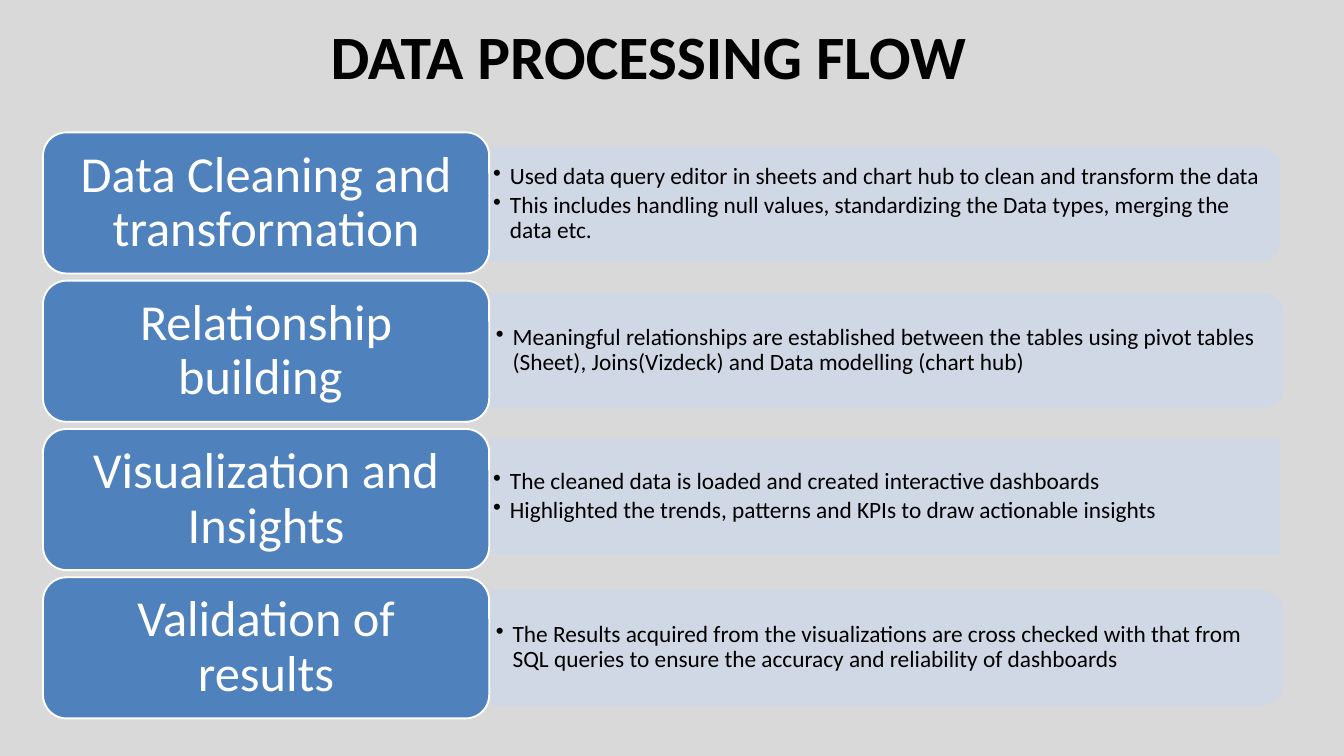
from pptx import Presentation
from pptx.dml.color import RGBColor
from pptx.enum.shapes import MSO_SHAPE
from pptx.enum.text import MSO_ANCHOR, MSO_AUTO_SIZE, PP_ALIGN
from pptx.oxml.ns import qn
from pptx.util import Inches, Pt
from lxml.etree import SubElement

TITLE = "DATA PROCESSING FLOW"
ROUND, SQUARE = MSO_SHAPE.ROUND_2_SAME_RECTANGLE, MSO_SHAPE.RECTANGLE
STEPS = [
    ("Data Cleaning and transformation", ROUND, 7.24, 3.04, [
        "Used data query editor in sheets and chart hub to clean and transform the data",
        "This includes handling null values, standardizing the Data types, merging the data etc.",
    ]),
    ("Relationship building ", ROUND, 7.28, 5.22, [
        "Meaningful relationships are established between the tables using pivot tables "
        "(Sheet), Joins(Vizdeck) and Data modelling (chart hub)",
    ]),
    ("Visualization and Insights", SQUARE, 7.24, 7.39, [
        "The cleaned data is loaded and created interactive dashboards",
        "Highlighted the trends, patterns and KPIs to draw actionable insights",
    ]),
    ("Validation of results", ROUND, 7.28, 9.64, [
        "The Results acquired from the visualizations are cross checked with that from "
        "SQL queries to ensure the accuracy and reliability of dashboards",
    ]),
]
GREY, BLUE, PALE, WHITE, BLACK = "D9D9D9", "4F81BD", "D0D8E8", "FFFFFF", "000000"
LABEL_LEFT, LABEL_TOP, LABEL_WIDTH, LABEL_HEIGHT, LABEL_PITCH = 0.64, 1.97, 6.64, 2.1, 2.207
PANEL_WIDTH, PANEL_HEIGHT = 11.8, 1.68
TEXT_WIDTH, TEXT_HEIGHT = 11.72, 1.52


def paint(target, color):
    target.solid()
    target.fore_color.rgb = RGBColor.from_string(color)


def set_opacity(fill_parent, percent):
    color = fill_parent.find(qn("a:solidFill"))[0]
    SubElement(color, qn("a:alpha"), val=str(percent * 1000))


def add_box(slide, kind, left, top, width, height, fill, line):
    shape = slide.shapes.add_shape(kind, Inches(left), Inches(top), Inches(width), Inches(height))
    shape.shadow.inherit = False
    paint(shape.fill, fill)
    paint(shape.line.fill, line)
    shape.line.width = Pt(2)
    return shape


def set_frame(frame, anchor, across, down):
    frame.word_wrap = True
    frame.auto_size = MSO_AUTO_SIZE.NONE
    frame.vertical_anchor = anchor
    frame.margin_left = frame.margin_right = Inches(across)
    frame.margin_top = frame.margin_bottom = Inches(down)


def style(paragraph, size, color, align, bold=False):
    paragraph.alignment = align
    paragraph.font.name = "Calibri"
    paragraph.font.size = Pt(size)
    paragraph.font.bold = bold
    paragraph.font.color.rgb = RGBColor.from_string(color)


def add_bullet(paragraph):
    properties = paragraph._p.get_or_add_pPr()
    properties.set("marL", str(Inches(0.25)))
    properties.set("indent", str(Inches(-0.25)))
    bullet = properties.makeelement(qn("a:buChar"), {"char": "•"})
    properties.find(qn("a:defRPr")).addprevious(bullet)


def add_panel(slide, kind, left, middle):
    center = left + PANEL_WIDTH / 2
    panel = add_box(slide, kind, center - PANEL_HEIGHT / 2, middle - PANEL_WIDTH / 2,
                    PANEL_HEIGHT, PANEL_WIDTH, PALE, PALE)
    panel.rotation = 90
    set_opacity(panel._element.spPr, 90)
    set_opacity(panel.line._ln, 90)


def add_details(slide, left, middle, details):
    box = slide.shapes.add_textbox(Inches(left), Inches(middle - TEXT_HEIGHT / 2),
                                   Inches(TEXT_WIDTH), Inches(TEXT_HEIGHT))
    frame = box.text_frame
    set_frame(frame, MSO_ANCHOR.MIDDLE, 0.1, 0.05)
    frame.text = "\n".join(details)
    for paragraph in frame.paragraphs:
        style(paragraph, 25, BLACK, PP_ALIGN.LEFT)
        paragraph.line_spacing = 0.9
        paragraph.space_after = Pt(3.75)
        add_bullet(paragraph)


def add_label(slide, top, label):
    shape = add_box(slide, MSO_SHAPE.ROUNDED_RECTANGLE, LABEL_LEFT, top,
                    LABEL_WIDTH, LABEL_HEIGHT, BLUE, WHITE)
    set_frame(shape.text_frame, MSO_ANCHOR.MIDDLE, 0.34, 0.21)
    paragraph = shape.text_frame.paragraphs[0]
    paragraph.text = label
    style(paragraph, 54, WHITE, PP_ALIGN.CENTER)
    paragraph.line_spacing = 0.9


def main():
    presentation = Presentation()
    presentation.slide_width, presentation.slide_height = Inches(20), Inches(11.25)
    slide = presentation.slides.add_slide(presentation.slide_layouts[5])
    paint(slide.background.fill, GREY)

    title = slide.shapes.title
    title.left, title.top, title.width, title.height = map(Inches, (0.64, 0.21, 18.02, 1.57))
    set_frame(title.text_frame, MSO_ANCHOR.TOP, 0.1, 0.05)
    title.text_frame.text = TITLE
    style(title.text_frame.paragraphs[0], 66, BLACK, PP_ALIGN.CENTER, bold=True)

    for index, (label, kind, left, middle, details) in enumerate(STEPS):
        add_panel(slide, kind, left, middle)
        add_details(slide, left, middle, details)
        add_label(slide, LABEL_TOP + index * LABEL_PITCH, label)

    presentation.save("out.pptx")


if __name__ == "__main__":
    main()
